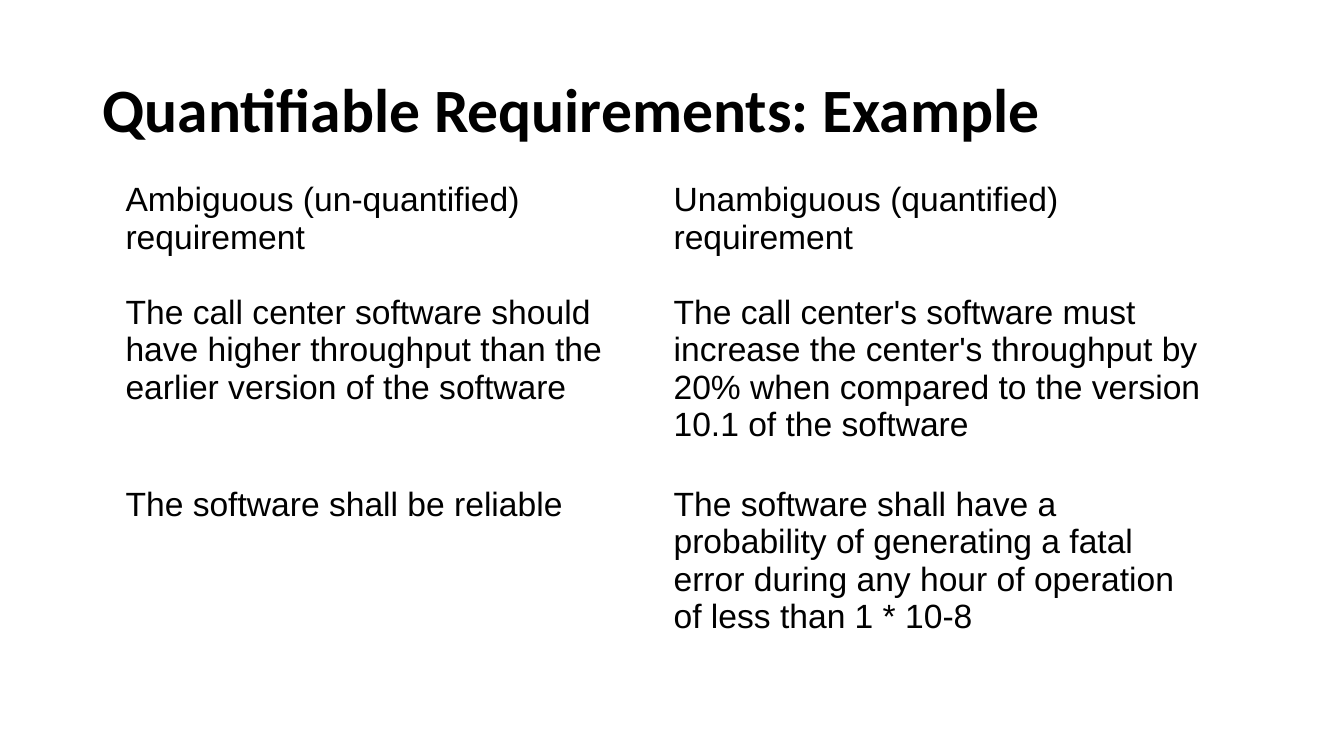
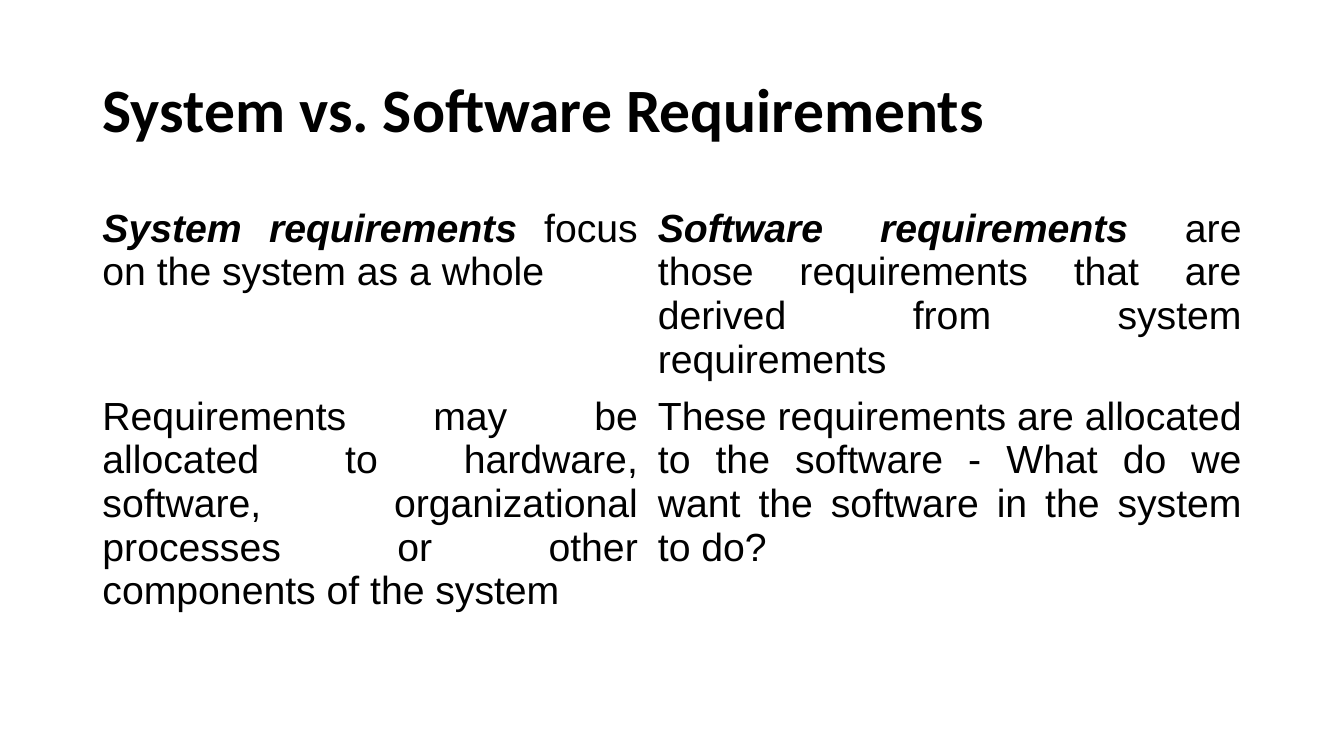
from pptx import Presentation
from pptx.dml.color import RGBColor
from pptx.enum.text import MSO_ANCHOR, MSO_AUTO_SIZE, PP_ALIGN
from pptx.util import Pt

PX = 9525  # EMU per pixel, 96 pixels to the inch
SLIDE_WIDTH, SLIDE_HEIGHT = 1280, 720
MARGIN = 88
TITLE_ONLY = 5
BLACK = RGBColor(0x00, 0x00, 0x00)
TITLE_FONT, BODY_FONT = "Calibri", "Arial"

# Each cell is a pair: emphasised opening words, then plain text.
QUANTIFIABLE_ROWS = [
    [("", "Ambiguous (un-quantified) requirement"),
     ("", "Unambiguous (quantified) requirement")],
    [("", "The call center software should have higher throughput than the "
          "earlier version of the software"),
     ("", "The call center's software must increase the center's throughput "
          "by 20% when compared to the version 10.1 of the software")],
    [("", "The software shall be reliable"),
     ("", "The software shall have a probability of generating a fatal error "
          "during any hour of operation of less than 1 * 10-8")],
]
SYSTEM_ROWS = [
    [("System requirements ", "focus on the system as a whole"),
     ("Software requirements ", "are those requirements that are derived "
                                "from system requirements")],
    [("", "Requirements may be allocated to hardware, software, "
          "organizational processes or other components of the system"),
     ("", "These requirements are allocated to the software - What do we "
          "want the software in the system to do?")],
]


def set_font(paragraph, name, size):
    paragraph.font.name = name
    paragraph.font.size = Pt(size)
    paragraph.font.color.rgb = BLACK


def add_titled_slide(presentation, text):
    slide = presentation.slides.add_slide(presentation.slide_layouts[TITLE_ONLY])
    title = slide.shapes.title
    title.left, title.top = MARGIN * PX, 38 * PX
    title.width, title.height = (SLIDE_WIDTH - 2 * MARGIN) * PX, 139 * PX
    frame = title.text_frame
    frame.text = text
    frame.auto_size = MSO_AUTO_SIZE.NONE
    frame.vertical_anchor = MSO_ANCHOR.MIDDLE
    paragraph = frame.paragraphs[0]
    paragraph.alignment = PP_ALIGN.LEFT
    paragraph.line_spacing = 0.9
    set_font(paragraph, TITLE_FONT, 44)
    paragraph.font.bold = True
    return slide


def fill_cell(cell, term, text, size, alignment):
    cell.fill.background()
    paragraph = cell.text_frame.paragraphs[0]
    paragraph.alignment = alignment
    set_font(paragraph, BODY_FONT, size)
    if term:
        run = paragraph.add_run()
        run.text = term
        run.font.bold = run.font.italic = True
    paragraph.add_run().text = text


def add_plain_table(slide, left, top, widths, heights, rows, size, alignment):
    """Add a table without fills or header styling."""
    table = slide.shapes.add_table(
        len(heights), len(widths), left * PX, top * PX,
        sum(widths) * PX, sum(heights) * PX).table
    table.first_row = table.horz_banding = False
    for column, width in zip(table.columns, widths):
        column.width = width * PX
    for row, height, contents in zip(table.rows, heights, rows):
        row.height = height * PX
        for cell, (term, text) in zip(row.cells, contents):
            fill_cell(cell, term, text, size, alignment)


def main():
    presentation = Presentation()
    presentation.slide_width = SLIDE_WIDTH * PX
    presentation.slide_height = SLIDE_HEIGHT * PX

    slide = add_titled_slide(presentation, "Quantifiable Requirements: Example")
    add_plain_table(slide, 110, 168, [522, 522], [107, 183, 183],
                    QUANTIFIABLE_ROWS, 24, PP_ALIGN.LEFT)

    slide = add_titled_slide(presentation, "System vs. Software Requirements")
    add_plain_table(slide, MARGIN, 192, [529, 575], [179, 254],
                    SYSTEM_ROWS, 28, PP_ALIGN.JUSTIFY)

    presentation.save("out.pptx")


if __name__ == "__main__":
    main()
